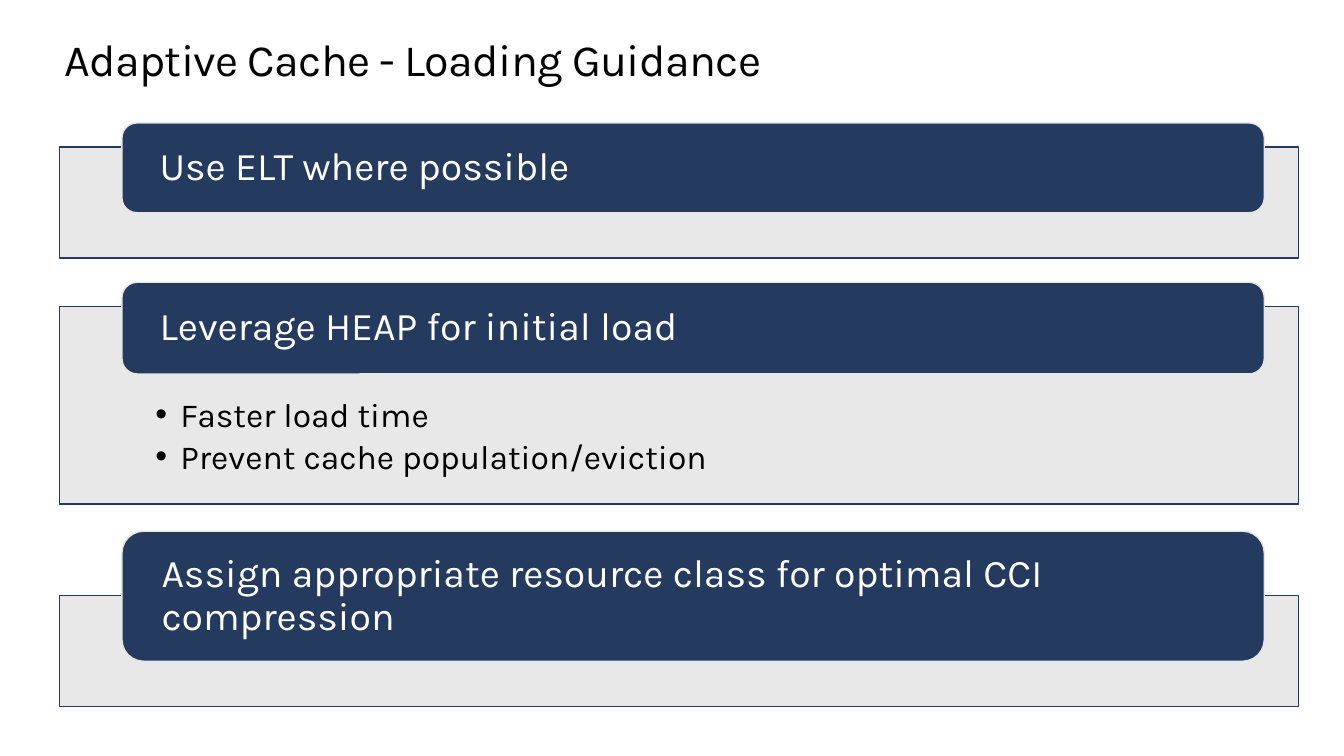
from lxml import etree
from pptx import Presentation
from pptx.dml.color import RGBColor
from pptx.enum.shapes import MSO_SHAPE as Shape
from pptx.enum.text import MSO_ANCHOR as Anchor, PP_ALIGN as Align
from pptx.oxml.ns import qn
from pptx.util import Inches, Pt

COLORS = {"navy": "243A5E", "gray": "E6E6E6", "white": "FFFFFF", "black": "000000"}
FONT = "Karla"
SECTIONS = [
    {"heading": "Use ELT where possible", "bullets": [],
     "header": (1.22, 0.89), "panel": (1.46, 1.1)},
    {"heading": "Leverage HEAP for initial load",
     "bullets": ["Faster load time", "Prevent cache population/eviction"],
     "header": (2.8, 0.91), "panel": (3.04, 1.96)},
    {"heading": "Assign appropriate resource class for optimal CCI compression",
     "bullets": [], "header": (5.27, 1.29), "panel": (5.91, 1.1)},
]


def color(name):
    """Return the palette colour with the given name."""
    return RGBColor.from_string(COLORS[name])


def style_font(paragraph, size, color_name):
    """Set the font of a whole paragraph."""
    font = paragraph.font
    font.name, font.size = FONT, Pt(size)
    font.color.rgb = color(color_name)


def set_frame(frame, insets, anchor):
    """Set wrapping, anchor and the left, top, right and bottom insets."""
    frame.word_wrap = True
    frame.vertical_anchor = anchor
    (frame.margin_left, frame.margin_top,
     frame.margin_right, frame.margin_bottom) = map(Inches, insets)


def add_box(slide, kind, box, fill, line):
    """Add a filled and outlined shape without a shadow."""
    shape = slide.shapes.add_shape(kind, *map(Inches, box))
    shape.shadow.inherit = False
    shape.fill.solid()
    shape.fill.fore_color.rgb = color(fill)
    shape.line.color.rgb = color(line)
    shape.line.width = Pt(1)
    return shape


def add_title(slide, text, box):
    """Add the slide title in the given box."""
    frame = slide.shapes.add_textbox(*map(Inches, box)).text_frame
    set_frame(frame, (0, 0, 0, 0), Anchor.TOP)
    paragraph = frame.paragraphs[0]
    run = paragraph.add_run()
    run.text = text
    run.font._element.set("spc", "-50")
    paragraph.line_spacing = Pt(36.2)
    style_font(paragraph, 32, "black")


def add_panel(slide, box, bullets):
    """Add a translucent panel with its bullet list."""
    panel = add_box(slide, Shape.RECTANGLE, box, "gray", "navy")
    fill_color = panel.fill._xPr.find(qn("a:solidFill"))[0]
    etree.SubElement(fill_color, qn("a:alpha")).set("val", "90000")
    frame = panel.text_frame
    set_frame(frame, (0.95, 0.91, 0.95, 0.19) if bullets else (0, 0, 0, 0), Anchor.TOP)
    for index, text in enumerate(bullets):
        paragraph = frame.add_paragraph() if index else frame.paragraphs[0]
        paragraph.text = text
        paragraph.alignment = Align.LEFT
        paragraph.line_spacing = 0.9
        paragraph.space_after = Pt(4)
        properties = paragraph._p.get_or_add_pPr()
        properties.set("marL", str(Inches(0.25)))
        properties.set("indent", str(-Inches(0.25)))
        etree.SubElement(properties, qn("a:buFont")).set("typeface", "Arial")
        etree.SubElement(properties, qn("a:buChar")).set("char", "•")
        style_font(paragraph, 24, "black")


def add_header(slide, box, text):
    """Add a rounded header bar with its heading."""
    header = add_box(slide, Shape.ROUNDED_RECTANGLE, box, "navy", "gray")
    set_frame(header.text_frame, (0.33, 0, 0.33, 0), Anchor.MIDDLE)
    paragraph = header.text_frame.paragraphs[0]
    paragraph.text = text
    paragraph.alignment = Align.LEFT
    paragraph.line_spacing = 0.9
    style_font(paragraph, 28, "white")


def add_section(slide, section, left, width):
    """Add a panel and the header that overlaps its top edge."""
    panel_top, panel_height = section["panel"]
    header_top, header_height = section["header"]
    add_panel(slide, (left, panel_top, width, panel_height), section["bullets"])
    add_header(slide, (left + 0.62, header_top, width - 0.96, header_height),
               section["heading"])


def main():
    """Build and save the presentation."""
    presentation = Presentation()
    presentation.slide_width = Inches(13.33)
    presentation.slide_height = Inches(7.5)
    slide = presentation.slides.add_slide(presentation.slide_layouts[6])
    add_title(slide, "Adaptive Cache - Loading Guidance", (0.64, 0.35, 11.98, 0.5))
    for section in SECTIONS:
        add_section(slide, section, 0.59, 12.29)
    presentation.save("out.pptx")


if __name__ == "__main__":
    main()
